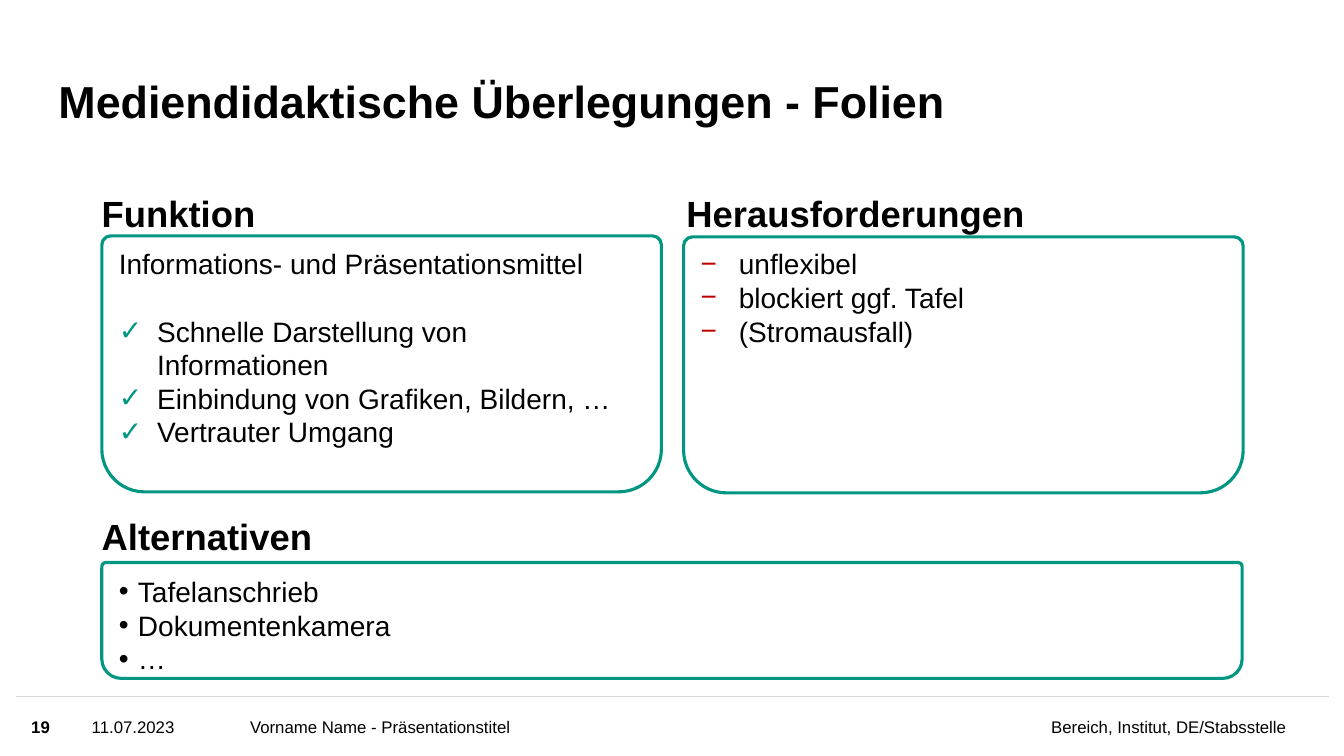
from lxml import etree
from pptx import Presentation
from pptx.dml.color import RGBColor
from pptx.enum.shapes import MSO_CONNECTOR, MSO_SHAPE
from pptx.enum.text import MSO_ANCHOR, PP_ALIGN
from pptx.oxml.ns import qn
from pptx.util import Inches, Pt

COLORS = {"text": "000000", "white": "FFFFFF", "green": "009682", "red": "C00000", "rule": "D9D9D9"}

presentation = Presentation()
presentation.slide_width = Inches(13.33)
presentation.slide_height = Inches(7.5)
slide = presentation.slides.add_slide(presentation.slide_layouts[6])


def add_text(box, lines, size, bold=False, anchor=MSO_ANCHOR.TOP, margins=(0.1, 0.05)):
    frame = slide.shapes.add_textbox(*map(Inches, box)).text_frame
    frame.word_wrap = True
    frame.vertical_anchor = anchor
    frame.margin_left = frame.margin_right = Inches(margins[0])
    frame.margin_top = frame.margin_bottom = Inches(margins[1])
    for index, line in enumerate(lines):
        paragraph = frame.add_paragraph() if index else frame.paragraphs[0]
        run = paragraph.add_run()
        run.text = line
        run.font.name = "Arial"
        run.font.size = Pt(size)
        run.font.bold = bold
        run.font.color.rgb = RGBColor.from_string(COLORS["text"])
    return frame.paragraphs


def add_bullets(paragraphs, symbol, color, indent):
    for paragraph in paragraphs:
        properties = paragraph._p.get_or_add_pPr()
        properties.set("marL", str(Inches(indent)))
        properties.set("indent", str(Inches(-indent)))
        bullet_color = etree.SubElement(properties, qn("a:buClr"))
        etree.SubElement(bullet_color, qn("a:srgbClr"), val=COLORS[color])
        etree.SubElement(properties, qn("a:buFont"), typeface="Arial")
        etree.SubElement(properties, qn("a:buChar"), char=symbol)


footer_rule = slide.shapes.add_connector(
    MSO_CONNECTOR.STRAIGHT, Inches(0.16), Inches(6.91), Inches(13.18), Inches(6.91))
footer_rule.line.color.rgb = RGBColor.from_string(COLORS["rule"])
footer_rule.line.width = Pt(1)
etree.SubElement(footer_rule._element.spPr, qn("a:effectLst"))

footers = [
    ("19", 0.31, 0.48, True, PP_ALIGN.LEFT),
    ("11.07.2023", 0.91, 1.5, False, PP_ALIGN.LEFT),
    ("Vorname Name - Präsentationstitel", 2.48, 5.37, False, PP_ALIGN.LEFT),
    ("Bereich, Institut, DE/Stabsstelle", 8.03, 4.73, False, PP_ALIGN.RIGHT),
]
for text, left, width, bold, alignment in footers:
    footer = add_text((left, 6.92, width, 0.58), [text], 12, bold, MSO_ANCHOR.MIDDLE, (0, 0))
    footer[0].alignment = alignment

title = add_text((0.58, 0.43, 10.02, 0.84), ["Mediendidaktische Überlegungen - Folien"],
                 32, True, MSO_ANCHOR.BOTTOM, (0, 0))
title[0].line_spacing = 0.9

panels = [
    ("Funktion", (0.91, 1.85, 2.35, 0.54), (1.01, 2.34, 5.55, 2.54)),
    ("Herausforderungen", (6.71, 1.85, 3.59, 0.54), (6.78, 2.35, 5.55, 2.54)),
    ("Alternativen", (0.91, 5.05, 2.35, 0.54), (1.01, 5.58, 11.31, 1.15)),
]
for heading, heading_box, panel_box in panels:
    panel = slide.shapes.add_shape(MSO_SHAPE.ROUND_2_SAME_RECTANGLE, *map(Inches, panel_box))
    panel.adjustments[0] = 0.035
    panel.adjustments[1] = 0.167
    panel.shadow.inherit = False
    panel.fill.solid()
    panel.fill.fore_color.rgb = RGBColor.from_string(COLORS["white"])
    panel.line.color.rgb = RGBColor.from_string(COLORS["green"])
    panel.line.width = Pt(2.25)
    add_text(heading_box, [heading], 26, True)

functions = add_text((1.08, 2.4, 5.36, 2.12), [
    "Informations- und Präsentationsmittel",
    "Schnelle Darstellung von Informationen",
    "Einbindung von Grafiken, Bildern, …",
    "Vertrauter Umgang",
], 20)
functions[0].space_after = Pt(24)
add_bullets(functions[1:], "✓", "green", 0.38)

challenges = add_text((6.85, 2.4, 5.4, 1.11),
                      ["unflexibel", "blockiert ggf. Tafel", "(Stromausfall)"], 20)
add_bullets(challenges, "−", "red", 0.38)

alternatives = add_text((1.08, 5.65, 8.71, 1.11), ["Tafelanschrieb", "Dokumentenkamera", "…"], 20)
add_bullets(alternatives, "•", "text", 0.19)

presentation.save("out.pptx")
